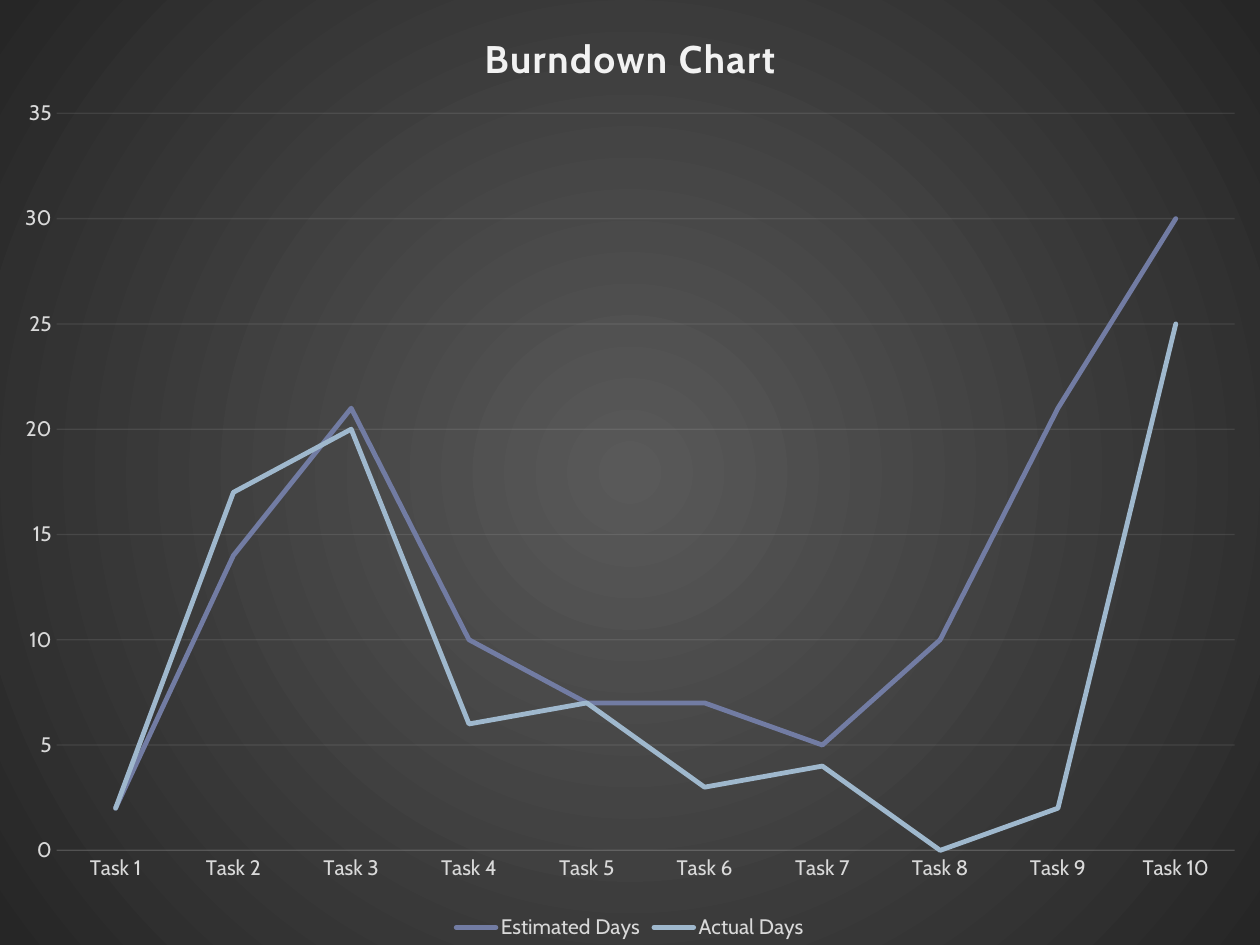
from dataclasses import dataclass

from lxml.etree import SubElement
from pptx import Presentation
from pptx.chart.data import CategoryChartData
from pptx.dml.color import RGBColor
from pptx.enum.chart import XL_CHART_TYPE, XL_LEGEND_POSITION, XL_TICK_MARK
from pptx.oxml import parse_xml
from pptx.oxml.ns import nsdecls, qn
from pptx.util import Inches, Pt


@dataclass(frozen=True)
class Theme:
    font: str = "Cabin"
    title: str = "F2F2F2"
    label: str = "D9D9D9"
    rule: str = "F2F2F2"
    center: str = "595959"
    edge: str = "262626"
    title_size: float = 22
    label_size: float = 12
    rule_width: float = 0.75
    series_width: float = 2.75
    rule_opacity: int = 10


THEME = Theme()
TASKS = [f"Task {number}" for number in range(1, 11)]
DAYS = {
    "Estimated Days": ("727CA3", (2, 14, 21, 10, 7, 7, 5, 10, 21, 30)),
    "Actual Days": ("9FB8CD", (2, 17, 20, 6, 7, 3, 4, 0, 2, 25)),
}


def style_font(font, size, color, bold=False):
    font.name = THEME.font
    font.size = Pt(size)
    font.bold = bold
    font.color.rgb = RGBColor.from_string(color)


def style_line(line, color, width):
    line.color.rgb = RGBColor.from_string(color)
    line.width = Pt(width)


def style_rule(line):
    """Draw an axis line or gridline as a faint, mostly transparent rule."""
    style_line(line, THEME.rule, THEME.rule_width)
    color = line.fill._xPr.find(".//" + qn("a:srgbClr"))
    SubElement(color, qn("a:alpha"), val=str(THEME.rule_opacity * 1000))


def fill_background(chart):
    """Give the chart area a circular gradient without an outline."""
    area = parse_xml(
        f'<c:spPr {nsdecls("c", "a")}><a:gradFill><a:gsLst>'
        f'<a:gs pos="0"><a:srgbClr val="{THEME.center}"/></a:gs>'
        f'<a:gs pos="100000"><a:srgbClr val="{THEME.edge}"/></a:gs></a:gsLst>'
        '<a:path path="circle">'
        '<a:fillToRect l="50000" t="50000" r="50000" b="50000"/></a:path>'
        "</a:gradFill><a:ln><a:noFill/></a:ln></c:spPr>"
    )
    chart._chartSpace.find(qn("c:chart")).addnext(area)


def place_plot(chart, x, y, w, h):
    """Set the inner plot area as fractions of the chart."""
    plot_area = chart._chartSpace.find(".//" + qn("c:plotArea"))
    for layout in plot_area.findall(qn("c:layout")):
        plot_area.remove(layout)
    places = "".join(
        f'<c:{key} val="{value}"/>' for key, value in zip("xywh", (x, y, w, h))
    )
    plot_area.insert(0, parse_xml(
        f'<c:layout {nsdecls("c")}><c:manualLayout>'
        '<c:layoutTarget val="inner"/><c:xMode val="edge"/><c:yMode val="edge"/>'
        f"{places}</c:manualLayout></c:layout>"
    ))


def add_title(chart):
    chart.has_title = True
    heading = chart.chart_title.text_frame.paragraphs[0]
    heading.text = "Burndown Chart"
    style_font(heading.font, THEME.title_size, THEME.title, bold=True)
    heading.font._element.set("spc", "100")
    chart.chart_title.include_in_layout = False


def style_axes(chart):
    tasks, days = chart.category_axis, chart.value_axis
    for axis in (tasks, days):
        axis.major_tick_mark = axis.minor_tick_mark = XL_TICK_MARK.NONE
        style_font(axis.tick_labels.font, THEME.label_size, THEME.label)
    style_rule(tasks.format.line)
    days.format.line.fill.background()
    days.minimum_scale, days.maximum_scale, days.major_unit = 0, 35, 5
    days.has_major_gridlines = True
    style_rule(days.major_gridlines.format.line)


def add_legend(chart):
    chart.has_legend = True
    chart.legend.position = XL_LEGEND_POSITION.BOTTOM
    chart.legend.include_in_layout = False
    style_font(chart.legend.font, THEME.label_size, THEME.label)


def add_burndown(slide, left, top, width, height):
    data = CategoryChartData()
    data.categories = TASKS
    for name, (_, values) in DAYS.items():
        data.add_series(name, values)
    chart = slide.shapes.add_chart(
        XL_CHART_TYPE.LINE, left, top, width, height, data
    ).chart
    chart.font.name = THEME.font
    chart.plots[0].vary_by_categories = False
    for series, (color, _) in zip(chart.plots[0].series, DAYS.values()):
        series.smooth = False
        style_line(series.format.line, color, THEME.series_width)
        series.format.line.fill._xPr.set("cap", "rnd")
    add_title(chart)
    style_axes(chart)
    add_legend(chart)
    place_plot(chart, 0.045, 0.12, 0.935, 0.78)
    fill_background(chart)


def main():
    deck = Presentation()
    deck.slide_width, deck.slide_height = Inches(10), Inches(7.5)
    slide = deck.slides.add_slide(deck.slide_layouts[6])
    add_burndown(slide, Inches(0), Inches(0), deck.slide_width, deck.slide_height)
    deck.save("out.pptx")


if __name__ == "__main__":
    main()
